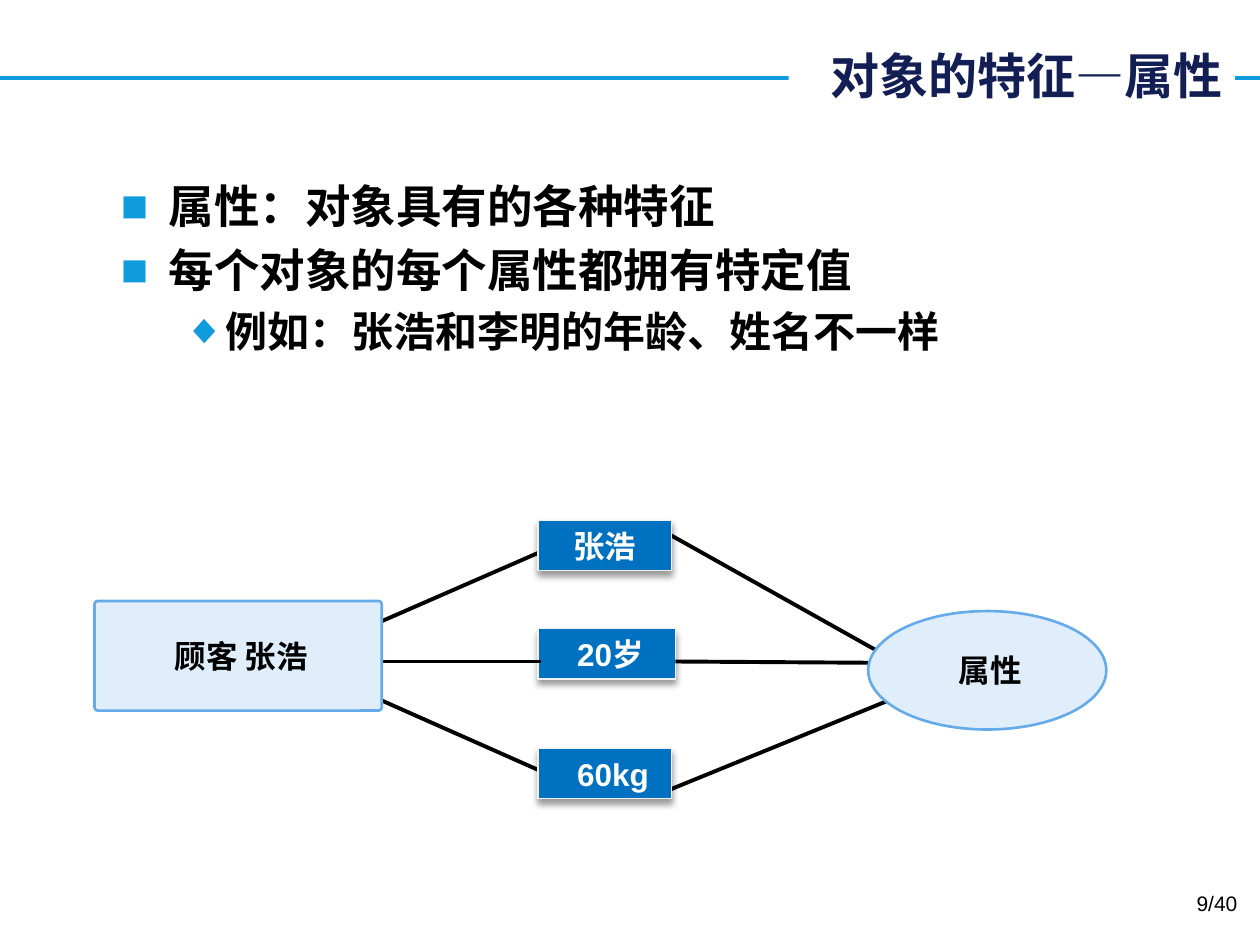
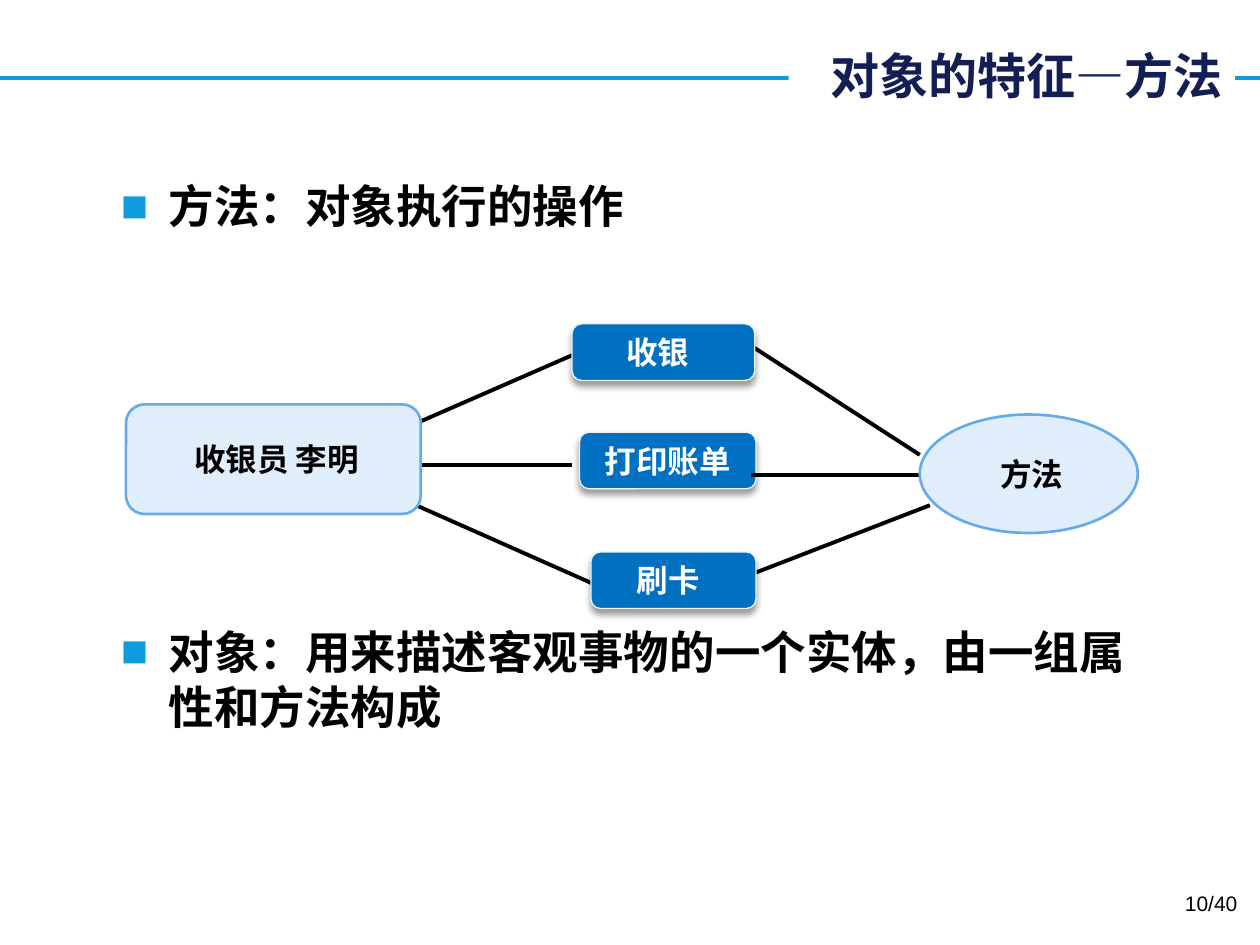
from lxml import etree
from pptx import Presentation
from pptx.dml.color import RGBColor
from pptx.enum.shapes import MSO_CONNECTOR, MSO_SHAPE
from pptx.enum.text import MSO_ANCHOR, MSO_AUTO_SIZE, PP_ALIGN
from pptx.oxml import parse_xml
from pptx.oxml.ns import nsdecls, qn
from pptx.util import Inches, Pt

LINE = MSO_CONNECTOR.STRAIGHT
ROUND, OVAL = MSO_SHAPE.ROUNDED_RECTANGLE, MSO_SHAPE.OVAL
LEFT, CENTER, RIGHT = PP_ALIGN.LEFT, PP_ALIGN.CENTER, PP_ALIGN.RIGHT
TOP, MIDDLE = MSO_ANCHOR.TOP, MSO_ANCHOR.MIDDLE
NO_FIT = MSO_AUTO_SIZE.NONE

LATIN, CJK = "Arial", "Noto Sans CJK SC"
SKY, NAVY, BLUE = "0E9CDE", "121E54", "0070C0"
PALE, EDGE, OFF_WHITE = "E0EEFB", "65AAE9", "F2F2F2"
BLACK, WHITE = "000000", "FFFFFF"

BULLETS = [("■", 26, 0.38, 0.38), ("◆", 24, 0.81, 0.31)]
LINE_SPACING = 1.21
PILL_TOPS = [0, 0.86, 1.81]
LEFT_LINES = [(0.8, 3.54, 0.25), (1.12, 3.54, 1.12), (1.43, 3.7, 2.06)]
TOTAL_PAGES = 40


def rgb(color):
    return RGBColor.from_string(color)


def write(p, text, size=18, color=BLACK, bold=True, font=LATIN, align=LEFT):
    p.alignment = align
    r = p.add_run()
    r.text = text
    r.font.size, r.font.bold, r.font.name = Pt(size), bold, font
    r.font.color.rgb = rgb(color)
    etree.SubElement(r.font._element, qn("a:ea")).set("typeface", CJK)


def set_frame(tf, anchor=MIDDLE, left=0.1, top=0.05, right=0.1):
    tf.word_wrap, tf.auto_size, tf.vertical_anchor = True, NO_FIT, anchor
    tf.margin_left, tf.margin_right = Inches(left), Inches(right)
    tf.margin_top, tf.margin_bottom = Inches(top), Inches(0.05)
    return tf


def place(sp, x, y, w, h):
    sp.left, sp.top, sp.width, sp.height = map(Inches, (x, y, w, h))


def add_line(s, x1, y1, x2, y2, color=BLACK):
    line = s.shapes.add_connector(LINE, *map(Inches, (x1, y1, x2, y2)))
    line.line.color.rgb = rgb(color)
    line.line.width = Pt(2.25)
    etree.SubElement(line._element.spPr, qn("a:effectLst"))
    return line


def add_block(s, kind, box, text, fill, edge, width, radius=None,
              margin=0.1, **fmt):
    sp = s.shapes.add_shape(kind, *map(Inches, box))
    sp.shadow.inherit = False
    if radius is not None:
        sp.adjustments[0] = radius
    sp.fill.solid()
    sp.fill.fore_color.rgb = rgb(fill)
    sp.line.color.rgb = rgb(edge)
    sp.line.width = Pt(width)
    tf = set_frame(sp.text_frame, left=margin, right=0.05)
    write(tf.paragraphs[0], text, **fmt)
    return sp


def add_pill(s, box, text, margin, radius):
    sp = add_block(s, ROUND, box, text, BLUE, OFF_WHITE, 0.75, radius,
                   margin, color=WHITE)
    shadow = parse_xml(
        f'<a:outerShdw {nsdecls("a")} blurRad="{Pt(4)}" dist="{Pt(3)}" '
        f'dir="5400000" algn="t" rotWithShape="0"><a:srgbClr val="{BLACK}">'
        '<a:alpha val="40000"/></a:srgbClr></a:outerShdw>')
    sp._element.spPr.find(qn("a:effectLst")).append(shadow)


def add_title(s, text):
    sp = s.shapes.title
    place(sp, 6.26, 0.31, 3.54, 0.57)
    sp.fill.solid()
    sp.fill.fore_color.rgb = rgb(WHITE)
    tf = set_frame(sp.text_frame)
    write(tf.paragraphs[0], text, size=28, color=NAVY, font=CJK, align=RIGHT)


def add_body(s, items):
    sp = s.placeholders[1]
    place(sp, 0.86, 1.33, 8.36, 5.62)
    tf = set_frame(sp.text_frame, TOP, top=0.08)
    for i, (level, before, text) in enumerate(items):
        p = tf.paragraphs[0] if i == 0 else tf.add_paragraph()
        mark, size, left, hang = BULLETS[level]
        p.level = level
        p.space_before = Pt(before)
        p.line_spacing = Pt(round(size * LINE_SPACING, 1))
        pPr = p._p.get_or_add_pPr()
        pPr.set("marL", str(Inches(left)))
        pPr.set("indent", str(-Inches(hang)))
        color = etree.SubElement(pPr, qn("a:buClr"))
        etree.SubElement(color, qn("a:srgbClr")).set("val", SKY)
        etree.SubElement(pPr, qn("a:buFont")).set("typeface", LATIN)
        etree.SubElement(pPr, qn("a:buChar")).set("char", mark)
        write(p, text, size=size)


def add_page_number(s, number):
    sp = s.shapes.add_textbox(*map(Inches, (7.59, 7.02, 2.33, 0.4)))
    tf = set_frame(sp.text_frame, TOP)
    write(tf.paragraphs[0], f"{number}/{TOTAL_PAGES}", size=12, bold=False,
          align=RIGHT)


def add_diagram(s, x, y, owner, owner_w, owner_radius, pills, pill_h,
                pill_radius, right_lines, trait, trait_x, trait_w):
    def pill(i):
        left, width, margin, text = pills[i]
        add_pill(s, (x + left, y + PILL_TOPS[i], width, pill_h), text,
                 margin, pill_radius)

    pill(1)
    left_lines = [(2.28, *line) for line in LEFT_LINES]
    for x1, y1, x2, y2 in left_lines + right_lines:
        add_line(s, x + x1, y + y1, x + x2, y + y2)
    pill(0)
    pill(2)
    for kind, box, text, radius in [
            (OVAL, (x + trait_x, y + 0.72, trait_w, 0.94), trait, None),
            (ROUND, (x, y + 0.64, owner_w, 0.87), owner, owner_radius)]:
        add_block(s, kind, box, text, PALE, EDGE, 1.5, radius,
                  font=CJK, align=CENTER)


def add_slide(prs, number, title, items, diagram):
    s = prs.slides.add_slide(prs.slide_layouts[1])
    add_title(s, title)
    add_body(s, items)
    add_diagram(s, **diagram)
    add_page_number(s, number)
    return s


def main():
    prs = Presentation()
    prs.slide_width, prs.slide_height = Inches(10), Inches(7.5)

    s = add_slide(
        prs, 9, "对象的特征—属性",
        [(0, 0, "属性：对象具有的各种特征"),
         (0, 5, "每个对象的每个属性都拥有特定值"),
         (1, 5, "例如：张浩和李明的年龄、姓名不一样")],
        dict(x=0.75, y=4.13, owner="顾客 张浩", owner_w=2.28,
             owner_radius=0.03,
             pills=[(3.52, 1.06, 0.28, "张浩"), (3.52, 1.09, 0.31, "20岁"),
                    (3.52, 1.06, 0.31, "60kg")],
             pill_h=0.4, pill_radius=0,
             right_lines=[(4.56, 0.11, 6.22, 1.04), (4.61, 1.12, 6.14, 1.13),
                          (4.56, 2.14, 6.3, 1.43)],
             trait="属性", trait_x=6.14, trait_w=1.89))
    rule = add_line(s, 0, 0.62, 10, 0.62, SKY)
    s.slide_layout.shapes.element.append(rule._element)

    add_slide(
        prs, 10, "对象的特征—方法",
        [(0, 0, "方法：对象执行的操作"),
         (0, 223, "对象：用来描述客观事物的一个实体，由一组属性和方法构成")],
        dict(x=1, y=2.57, owner="收银员 李明", owner_w=2.34,
             owner_radius=0.17,
             pills=[(3.54, 1.45, 0.41, "收银"), (3.6, 1.4, 0.18, "打印账单"),
                    (3.69, 1.31, 0.34, "刷卡")],
             pill_h=0.45, pill_radius=0.17,
             right_lines=[(4.94, 0.16, 6.3, 1.04), (4.96, 1.2, 6.38, 1.2),
                          (4.57, 2.14, 6.38, 1.44)],
             trait="方法", trait_x=6.3, trait_w=1.73))

    prs.save("out.pptx")


if __name__ == "__main__":
    main()
